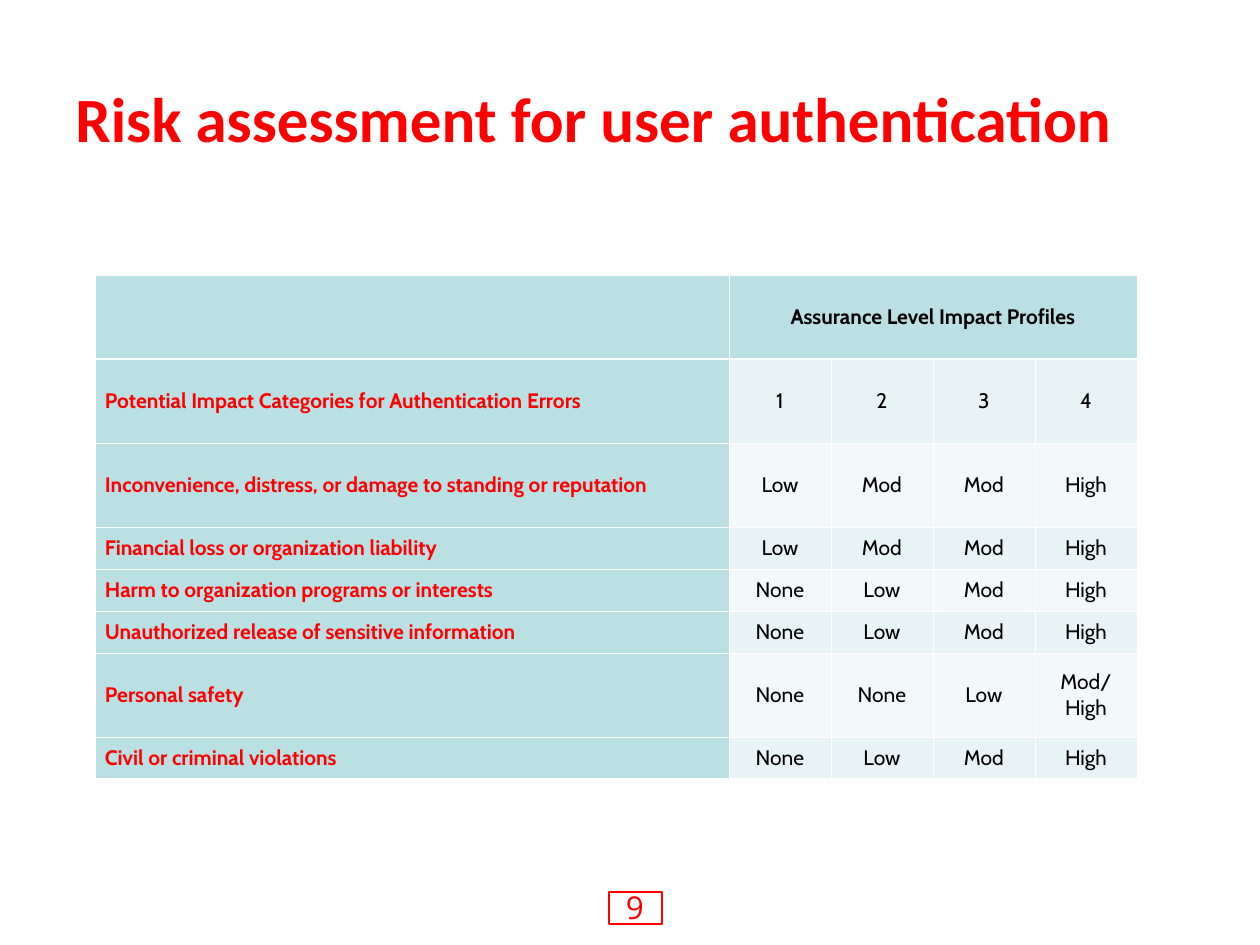
from dataclasses import dataclass

import pptx
import pptx.dml.color
import pptx.enum.shapes
import pptx.enum.text
import pptx.oxml
import pptx.oxml.ns
import pptx.util

PX = 914400 / 126
RED, BLACK, WHITE = "FF0000", "000000", "FFFFFF"
HEAD, BANDS = "BBE0E3", ("E7F3F4", "F3F9FA")
LEFT, CENTER = pptx.enum.text.PP_ALIGN.LEFT, pptx.enum.text.PP_ALIGN.CENTER
MIDDLE, TOP = pptx.enum.text.MSO_ANCHOR.MIDDLE, pptx.enum.text.MSO_ANCHOR.TOP
LABEL_W, LEVEL_W = 634, 102
TALL, SHORT = 84, 42
THIN, THICK = 0.45, 1.47


@dataclass
class Impact:
    label: str
    levels: tuple[str, ...]
    height: int = SHORT


IMPACTS = [
    Impact("Potential Impact Categories for Authentication Errors", ("1", "2", "3", "4"), TALL),
    Impact("Inconvenience, distress, or damage to standing or reputation",
           ("Low", "Mod", "Mod", "High"), TALL),
    Impact("Financial loss or organization liability", ("Low", "Mod", "Mod", "High")),
    Impact("Harm to organization programs or interests", ("None", "Low", "Mod", "High")),
    Impact("Unauthorized release of sensitive information", ("None", "Low", "Mod", "High")),
    Impact("Personal safety", ("None", "None", "Low", "Mod/\nHigh"), TALL),
    Impact("Civil or criminal violations", ("None", "Low", "Mod", "High")),
]


def px(n: int) -> pptx.util.Emu:
    return pptx.util.Emu(round(n * PX))


def rgb(color: str) -> pptx.dml.color.RGBColor:
    return pptx.dml.color.RGBColor.from_string(color)


def write(tf, text: str, *, size: int, font: str, color: str,
          bold: bool = False, align=LEFT) -> None:
    """Fill a text frame, one paragraph for each line of text."""
    for i, line in enumerate(text.split("\n")):
        p = tf.add_paragraph() if i else tf.paragraphs[0]
        p.alignment = align
        r = p.add_run()
        r.text = line
        r.font.size = pptx.util.Pt(size)
        r.font.name = font
        r.font.bold = bold
        r.font.color.rgb = rgb(color)


def add_text(s, box: tuple[int, int, int, int], text: str, *, anchor=TOP, **fmt) -> None:
    tf = s.shapes.add_textbox(*map(px, box)).text_frame
    tf.word_wrap = True
    tf.vertical_anchor = anchor
    write(tf, text, **fmt)


def set_borders(cell, top: float = THIN, bottom: float = THIN) -> None:
    """Draw white borders; they must precede the fill in the cell's properties."""
    tcPr = cell._tc.get_or_add_tcPr()
    widths = {"lnL": THIN, "lnR": THIN, "lnT": top, "lnB": bottom}
    for i, (tag, width) in enumerate(widths.items()):
        tcPr.insert(i, pptx.oxml.parse_xml(
            f'<a:{tag} {pptx.oxml.ns.nsdecls("a")} w="{pptx.util.Pt(width)}">'
            f'<a:solidFill><a:srgbClr val="{WHITE}"/></a:solidFill></a:{tag}>'))


def style_cell(cell, text: str, fill: str, *, top: float = THIN, bottom: float = THIN,
               color: str = BLACK, bold: bool = False, align=CENTER) -> None:
    cell.fill.solid()
    cell.fill.fore_color.rgb = rgb(fill)
    cell.vertical_anchor = MIDDLE
    cell.margin_left = cell.margin_right = px(10)
    cell.margin_top = cell.margin_bottom = px(6)
    set_borders(cell, top, bottom)
    if text:
        write(cell.text_frame, text, size=12, font="Cabin",
              color=color, bold=bold, align=align)


def add_impact_table(s, left: int, top: int, impacts: list[Impact]) -> None:
    widths = [LABEL_W] + [LEVEL_W] * len(impacts[0].levels)
    heights = [TALL] + [impact.height for impact in impacts]
    table = s.shapes.add_table(len(heights), len(widths), px(left), px(top),
                               px(sum(widths)), px(sum(heights))).table
    for column, width in zip(table.columns, widths):
        column.width = px(width)
    for row, height in zip(table.rows, heights):
        row.height = px(height)

    table.cell(0, 1).merge(table.cell(0, len(widths) - 1))
    for c in range(len(widths)):
        text = "Assurance Level Impact Profiles" if c == 1 else ""
        style_cell(table.cell(0, c), text, HEAD, bottom=THICK, bold=True)
    for r, impact in enumerate(impacts, 1):
        top_line = THICK if r == 1 else THIN
        style_cell(table.cell(r, 0), impact.label, HEAD, top=top_line,
                   color=RED, bold=True, align=LEFT)
        for c, level in enumerate(impact.levels, 1):
            style_cell(table.cell(r, c), level, BANDS[(r - 1) % 2], top=top_line)


def add_page_number(s, number: str) -> None:
    frame = s.shapes.add_shape(pptx.enum.shapes.MSO_SHAPE.RECTANGLE,
                               *map(px, (609, 892, 53, 32)))
    frame.shadow.inherit = False
    frame.fill.background()
    frame.line.color.rgb = rgb(RED)
    frame.line.width = pptx.util.Pt(0.75)
    add_text(s, (577, 882, 116, 55), number, size=18, font="Open Sans",
             color=RED, align=CENTER)


def main() -> None:
    prs = pptx.Presentation()
    prs.slide_width, prs.slide_height = px(1260), px(945)
    s = prs.slides.add_slide(prs.slide_layouts[6])
    add_page_number(s, "9")
    add_text(s, (63, 38, 1134, 158), "Risk assessment for user authentication",
             anchor=MIDDLE, size=36, font="Calibri", color=RED, bold=True)
    add_impact_table(s, 95, 275, IMPACTS)
    prs.save("out.pptx")


if __name__ == "__main__":
    main()
